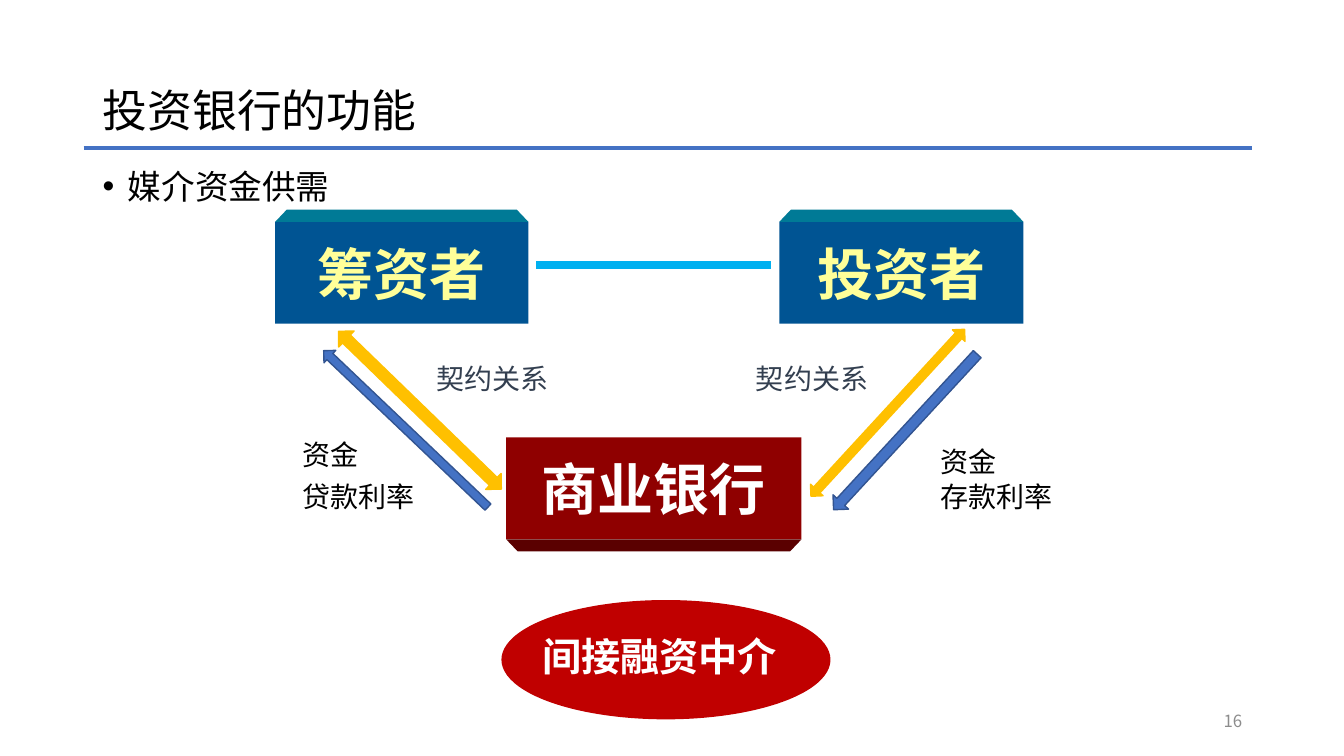
"""Build the slide on how investment banks link fund seekers and investors."""
from dataclasses import dataclass

from lxml.etree import SubElement
from pptx import Presentation
from pptx.dml.color import RGBColor
from pptx.enum.shapes import MSO_CONNECTOR, MSO_SHAPE as Preset
from pptx.enum.text import MSO_ANCHOR as Anchor, PP_ALIGN as Align
from pptx.oxml.ns import qn
from pptx.util import Inches, Pt

FONT = "Noto Sans CJK SC"
COLORS = {
    "black": "000000", "white": "FFFFFF", "grey": "8C8C8C", "slate": "333F50",
    "blue": "4472C4", "blue_edge": "325491", "sky": "00B0F0", "gold": "FFC000",
    "red": "C00000", "yellow": "FFFF99", "party": "005493", "party_bevel": "007A96",
    "bank": "8F0000", "bank_bevel": "5A0000",
}
BEVEL_HEIGHT = 0.12


@dataclass(frozen=True)
class Label:
    text: str
    left: float
    top: float
    width: float
    height: float = 0.44
    size: int = 20
    color: str = "black"
    bold: bool = False
    anchor: Anchor = Anchor.TOP
    align: Align = Align.LEFT
    line_spacing: float = 1.0


@dataclass(frozen=True)
class Block:
    text: str
    left: float
    top: float
    width: float
    face: str
    bevel: str
    text_color: str
    bevel_below: bool = False
    height: float = 1.01


@dataclass(frozen=True)
class Arrow:
    preset: Preset
    left: float
    top: float
    width: float
    height: float
    rotation: float
    fill: str
    edge: str


@dataclass(frozen=True)
class Rule:
    start: float
    end: float
    y: float
    color: str
    weight: float


TITLE = Label("投资银行的功能", 0.92, 0.4, 11.5, 1.45, 32, anchor=Anchor.MIDDLE, line_spacing=0.9)
BULLET = Label("媒介资金供需", 0.92, 1.64, 11.5, 0.5, 24, line_spacing=0.9)
LABELS = [
    Label("16", 9.42, 6.95, 3, 0.4, 12, "grey", anchor=Anchor.MIDDLE, align=Align.RIGHT),
    Label("资金", 9.23, 4.36, 0.92),
    Label("存款利率", 9.23, 4.71, 1.33),
    Label("资金", 2.9, 4.29, 0.92),
    Label("贷款利率", 2.9, 4.71, 1.33),
    Label("契约关系", 4.23, 3.54, 1.33, color="slate"),
    Label("契约关系", 7.4, 3.54, 1.33, color="slate"),
    Label("间接融资中介", 5.28, 6.22, 2.67, 0.57, 28, "white", True),
]
BLOCKS = [
    Block("筹资者", 2.73, 2.2, 2.51, "party", "party_bevel", "yellow"),
    Block("投资者", 7.73, 2.2, 2.42, "party", "party_bevel", "yellow"),
    Block("商业银行", 5.02, 4.34, 2.93, "bank", "bank_bevel", "white", True),
]
ARROWS = [
    Arrow(Preset.LEFT_RIGHT_ARROW, 3.04, 3.96, 2.25, 0.22, 44.1, "gold", "gold"),
    Arrow(Preset.LEFT_RIGHT_ARROW, 7.68, 4.01, 2.25, 0.17, 312.6, "gold", "gold"),
    Arrow(Preset.LEFT_ARROW, 7.93, 4.18, 2.1, 0.21, 312.7, "blue", "blue_edge"),
    Arrow(Preset.LEFT_ARROW, 2.9, 4.17, 2.25, 0.17, 43.6, "blue", "blue_edge"),
]
RULES = [Rule(0.83, 12.42, 1.47, "blue", 3), Rule(5.32, 7.65, 2.63, "sky", 6)]


def rgb(name: str) -> RGBColor:
    return RGBColor.from_string(COLORS[name])


def write(shape, text: str, size: int, color: str, bold: bool, align: Align, anchor: Anchor):
    frame = shape.text_frame
    frame.text = text
    frame.vertical_anchor = anchor
    paragraph = frame.paragraphs[0]
    paragraph.alignment = align
    font = paragraph.runs[0].font
    font.name, font.size, font.bold = FONT, Pt(size), bold
    font.color.rgb = rgb(color)
    SubElement(paragraph.runs[0].font._element, qn("a:ea"), typeface=FONT)
    return paragraph


def add_label(slide, label: Label):
    box = slide.shapes.add_textbox(
        Inches(label.left), Inches(label.top), Inches(label.width), Inches(label.height))
    box.text_frame.word_wrap = True
    paragraph = write(
        box, label.text, label.size, label.color, label.bold, label.align, label.anchor)
    paragraph.line_spacing = label.line_spacing
    return paragraph


def add_bullet(slide, label: Label) -> None:
    paragraph = add_label(slide, label)
    paragraph.space_before = Pt(10)
    properties = paragraph._p.get_or_add_pPr()
    properties.set("marL", str(Inches(0.25)))
    properties.set("indent", str(Inches(-0.25)))
    SubElement(properties, qn("a:buFont"), typeface="Arial")
    SubElement(properties, qn("a:buChar"), char="•")


def add_filled(slide, preset: Preset, left: float, top: float, width: float,
               height: float, fill: str, edge: str = ""):
    shape = slide.shapes.add_shape(
        preset, Inches(left), Inches(top), Inches(width), Inches(height))
    shape.shadow.inherit = False
    shape.fill.solid()
    shape.fill.fore_color.rgb = rgb(fill)
    if edge:
        shape.line.color.rgb = rgb(edge)
        shape.line.width = Pt(1)
    else:
        shape.line.fill.background()
    return shape


def add_block(slide, block: Block) -> None:
    face = add_filled(
        slide, Preset.RECTANGLE, block.left, block.top, block.width, block.height, block.face)
    face.text_frame.word_wrap = False
    write(face, block.text, 40, block.text_color, True, Align.CENTER, Anchor.MIDDLE)
    bevel_top = block.top + block.height if block.bevel_below else block.top - BEVEL_HEIGHT
    bevel = add_filled(
        slide, Preset.TRAPEZOID, block.left, bevel_top, block.width, BEVEL_HEIGHT, block.bevel)
    bevel.adjustments[0] = 0.95
    bevel.rotation = 180 if block.bevel_below else 0


def add_arrow(slide, arrow: Arrow) -> None:
    shape = add_filled(slide, arrow.preset, arrow.left, arrow.top, arrow.width,
                       arrow.height, arrow.fill, arrow.edge)
    shape.rotation = arrow.rotation


def add_rule(slide, rule: Rule) -> None:
    line = slide.shapes.add_connector(
        MSO_CONNECTOR.STRAIGHT, Inches(rule.start), Inches(rule.y),
        Inches(rule.end), Inches(rule.y))
    line.line.color.rgb = rgb(rule.color)
    line.line.width = Pt(rule.weight)
    SubElement(line._element.spPr, qn("a:effectLst"))


def main() -> None:
    presentation = Presentation()
    presentation.slide_width, presentation.slide_height = Inches(13.33), Inches(7.5)
    slide = presentation.slides.add_slide(presentation.slide_layouts[6])
    add_label(slide, TITLE)
    add_bullet(slide, BULLET)
    for rule in RULES:
        add_rule(slide, rule)
    for arrow in ARROWS:
        add_arrow(slide, arrow)
    for block in BLOCKS:
        add_block(slide, block)
    add_filled(slide, Preset.OVAL, 4.98, 5.96, 3.25, 1.17, "red", "red")
    for label in LABELS:
        add_label(slide, label)
    presentation.save("out.pptx")


if __name__ == "__main__":
    main()
